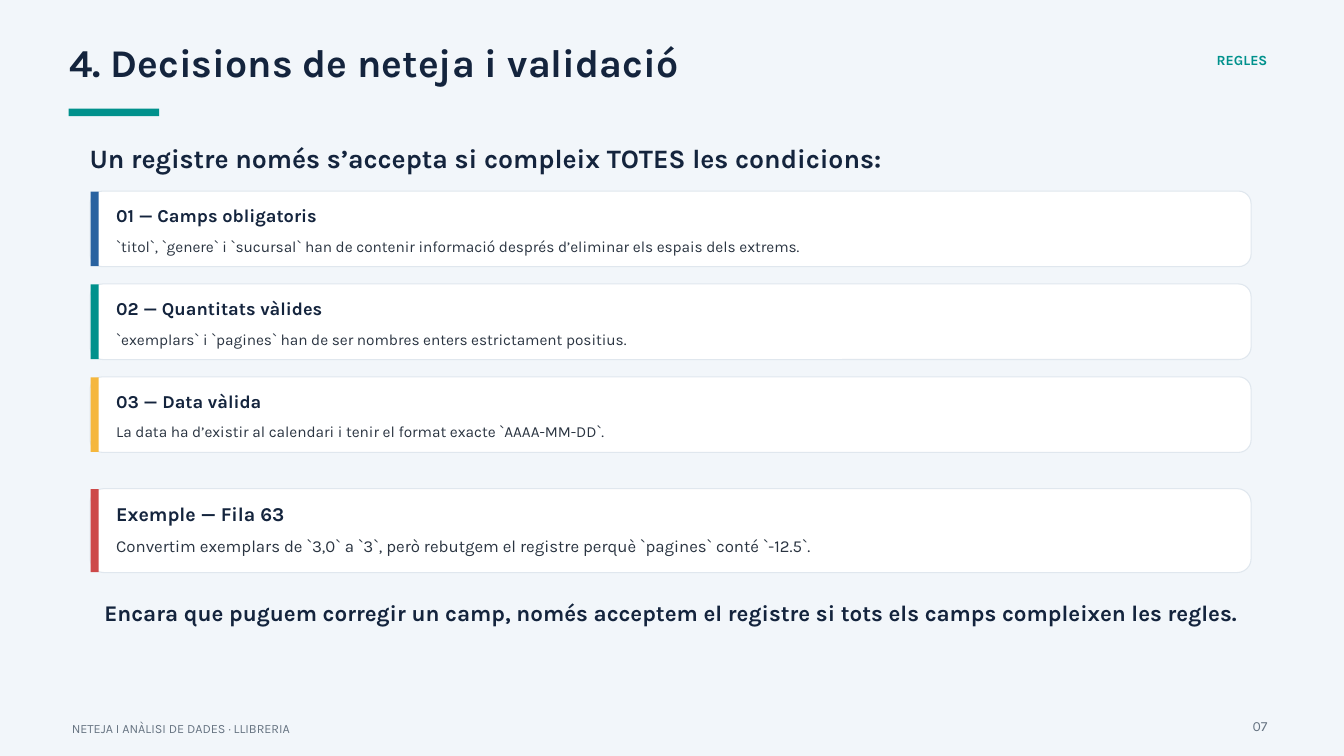
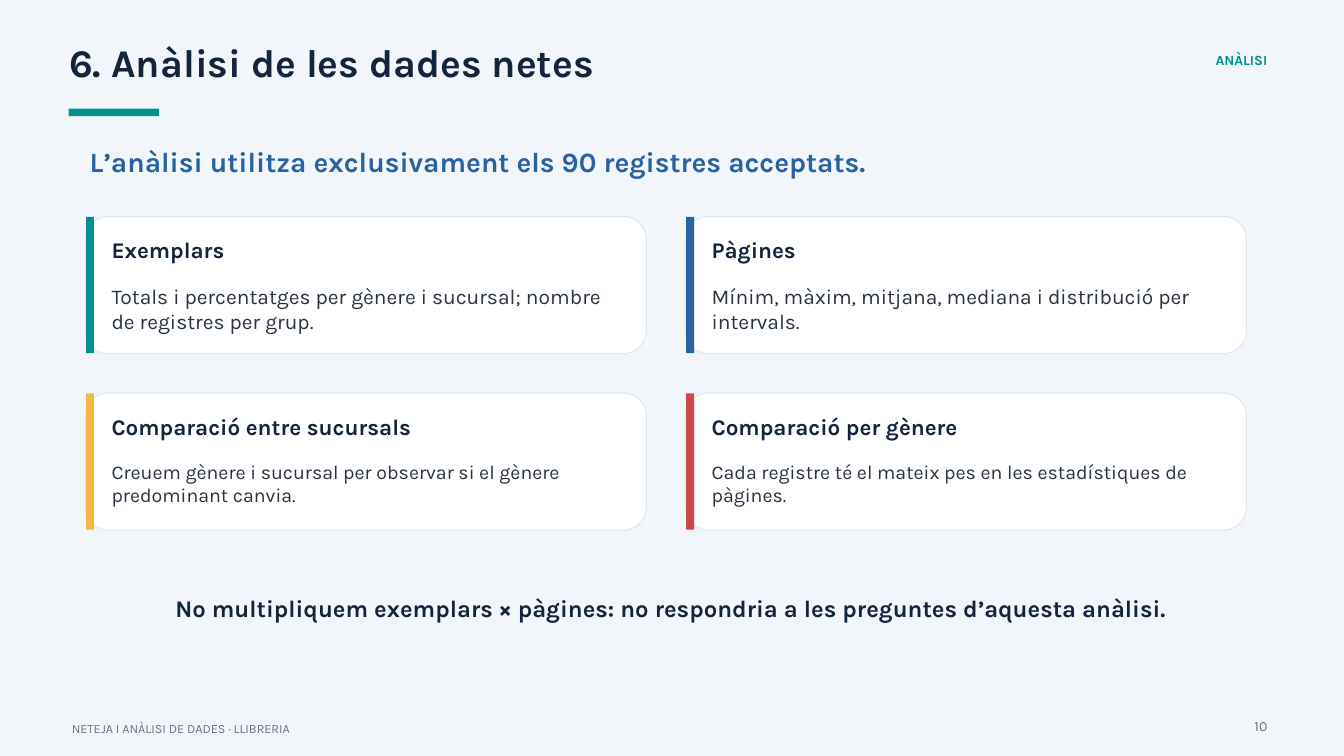
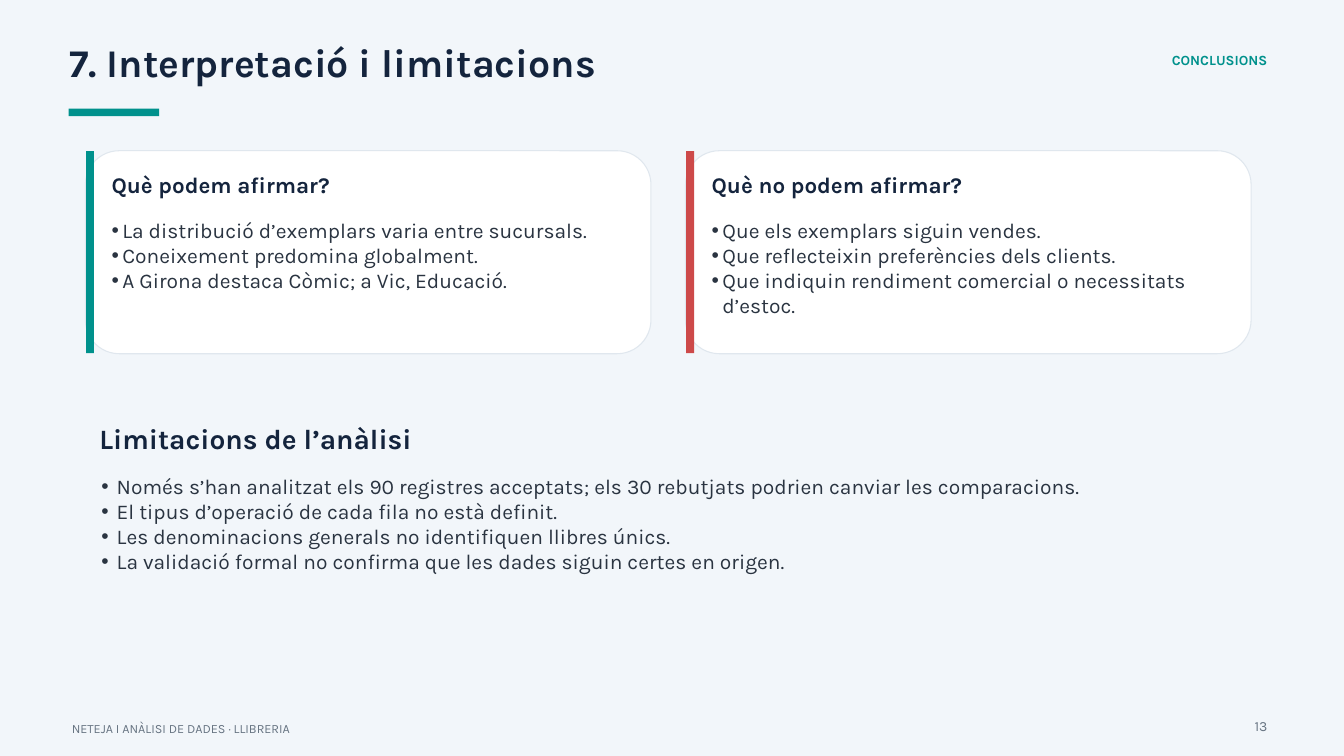
import pptx
import pptx.dml.color
import pptx.enum.shapes
import pptx.enum.text
import pptx.util
import lxml.etree

Pt = pptx.util.Pt
ALIGN = pptx.enum.text.PP_ALIGN
SHAPE = pptx.enum.shapes.MSO_SHAPE

FONT = "Karla"
INK = {
    "page": "F2F6FA", "card": "FFFFFF", "edge": "E0E7EE",
    "navy": "14243D", "text": "2A3441", "grey": "677482",
    "teal": "00918C", "blue": "2962A0", "gold": "F5B73D", "red": "CD4949",
}
WIDE, HIGH = 1440, 810
RIGHT = 1358
STEP = 643  # from one card column to the next
FOOT = "NETEJA I ANÀLISI DE DADES · LLIBRERIA"

# Card insets: space above the heading, space between heading and text
TIGHT = (14.5, 11)
LOOSE = (21.5, 21)


def color(name):
    return pptx.dml.color.RGBColor.from_string(INK[name])


def hang(para, dent):
    """Give the paragraph a round bullet with a hanging indent."""
    props = para._p.get_or_add_pPr()
    props.set("marL", str(Pt(dent)))
    props.set("indent", str(-Pt(dent)))
    mark = lxml.etree.SubElement(props, pptx.oxml.ns.qn("a:buChar"))
    mark.set("char", "•")


def write(slide, box, lines, size, ink="text", bold=False, align=ALIGN.LEFT,
          holder=None, dent=0):
    """Fill a placeholder, or a new text box, with one paragraph per line."""
    left, top, width, height = map(Pt, box)
    if holder is None:
        holder = slide.shapes.add_textbox(left, top, width, height)
    else:
        holder.left, holder.top = left, top
        holder.width, holder.height = width, height
        slide.shapes._spTree.append(holder._element)  # bring to front
    frame = holder.text_frame
    frame.word_wrap = True
    frame.auto_size = pptx.enum.text.MSO_AUTO_SIZE.NONE
    frame.vertical_anchor = pptx.enum.text.MSO_ANCHOR.TOP
    frame.margin_left = frame.margin_right = 0
    frame.margin_top = frame.margin_bottom = 0
    for i, line in enumerate(lines):
        para = frame.add_paragraph() if i else frame.paragraphs[0]
        if dent:
            hang(para, dent)
        para.alignment = align
        para.line_spacing = Pt(size * 1.2)
        para.space_before = para.space_after = Pt(0)
        run = para.add_run()
        run.text = line
        run.font.name, run.font.size = FONT, Pt(size)
        run.font.bold = bold
        run.font.color.rgb = color(ink)


def block(slide, kind, box, fill, edge=None):
    shape = slide.shapes.add_shape(kind, *map(Pt, box))
    shape.shadow.inherit = False
    shape.fill.solid()
    shape.fill.fore_color.rgb = color(fill)
    if edge:
        shape.line.color.rgb = color(edge)
        shape.line.width = Pt(1.13)
    else:
        shape.line.fill.background()


def card(slide, box, ink, head, lines, sizes, space, **more):
    """Draw a white card with a colour strip, a heading and its text."""
    left, top, width, height = box
    pad, gap = space
    big, small = sizes
    block(slide, SHAPE.ROUNDED_RECTANGLE, box, "card", "edge")
    block(slide, SHAPE.RECTANGLE, (left + 0.75, top + 0.5, 8.5, height - 1), ink)
    inner, span = left + 28, width - 52
    write(slide, (inner, top + pad, span, big * 1.2), [head], big, "navy", True)
    down = pad + big * 1.2 + gap
    write(slide, (inner, top + down, span, height - down - 9), lines, small, **more)


def start(deck, layout, title, tag, page):
    """Add a slide with the title, accent, tag and footer all slides share."""
    slide = deck.slides.add_slide(deck.slide_layouts.get_by_name(layout))
    write(slide, (74, 41.5, 1279, 60), [title], 42, "navy", True,
          holder=slide.shapes.title)
    block(slide, SHAPE.RECTANGLE, (73.5, 116.5, 97, 8), "teal")
    write(slide, (RIGHT - 241, 55.5, 241, 25), [tag], 15, "teal", True, ALIGN.RIGHT)
    write(slide, (77, 772.5, 911, 15), [FOOT], 13.5, "grey")
    write(slide, (RIGHT - 47, 769, 47, 20), [page], 15, "grey", align=ALIGN.RIGHT)
    return slide


def rules(deck):
    slide = start(deck, "Title Only", "4. Decisions de neteja i validació",
                  "REGLES", "07")
    write(slide, (96, 152.5, 1235, 38),
          ["Un registre només s’accepta si compleix TOTES les condicions:"],
          28.5, "navy", True)
    items = [
        ("blue", "01 — Camps obligatoris",
         "`titol`, `genere` i `sucursal` han de contenir informació després "
         "d’eliminar els espais dels extrems."),
        ("teal", "02 — Quantitats vàlides",
         "`exemplars` i `pagines` han de ser nombres enters estrictament positius."),
        ("gold", "03 — Data vàlida",
         "La data ha d’existir al calendari i tenir el format exacte `AAAA-MM-DD`."),
    ]
    left, width = 96.5, 1244
    for i, (ink, head, text) in enumerate(items):
        card(slide, (left, 204.75 + i * 99.5, width, 81), ink, head, [text],
             (19.5, 16.5), TIGHT)
    card(slide, (left, 523.5, width, 90), "red", "Exemple — Fila 63",
         ["Convertim exemplars de `3,0` a `3`, però rebutgem el registre "
          "perquè `pagines` conté `-12.5`."], (21, 18), TIGHT)
    write(slide, (111.5, 641.5, 1214, 58),
          ["Encara que puguem corregir un camp, només acceptem el registre "
           "si tots els camps compleixen les regles."],
          24, "navy", True, ALIGN.CENTER)


def study(deck):
    slide = start(deck, "Title Only", "6. Anàlisi de les dades netes",
                  "ANÀLISI", "10")
    write(slide, (96, 155, 1235, 42),
          ["L’anàlisi utilitza exclusivament els 90 registres acceptats."],
          30, "blue", True)
    items = [
        ("teal", "Exemplars", 22.5,
         "Totals i percentatges per gènere i sucursal; nombre de registres per grup."),
        ("blue", "Pàgines", 22.5,
         "Mínim, màxim, mitjana, mediana i distribució per intervals."),
        ("gold", "Comparació entre sucursals", 21,
         "Creuem gènere i sucursal per observar si el gènere predominant canvia."),
        ("red", "Comparació per gènere", 21,
         "Cada registre té el mateix pes en les estadístiques de pàgines."),
    ]
    for i, (ink, head, size, text) in enumerate(items):
        row, col = divmod(i, 2)
        card(slide, (91.5 + col * STEP, 232 + row * 189, 601, 147), ink, head,
             [text], (24, size), LOOSE)
    write(slide, (106.5, 636, 1225, 52.5),
          ["No multipliquem exemplars × pàgines: no respondria a les preguntes "
           "d’aquesta anàlisi."], 25.5, "navy", True, ALIGN.CENTER)


def limits(deck):
    slide = start(deck, "Comparison", "7. Interpretació i limitacions",
                  "CONCLUSIONS", "13")
    slots = {s.placeholder_format.idx: s for s in slide.placeholders}
    items = [
        ("teal", "Què podem afirmar?", slots[2], [
            "La distribució d’exemplars varia entre sucursals.",
            "Coneixement predomina globalment.",
            "A Girona destaca Còmic; a Vic, Educació."]),
        ("red", "Què no podem afirmar?", slots[4], [
            "Que els exemplars siguin vendes.",
            "Que reflecteixin preferències dels clients.",
            "Que indiquin rendiment comercial o necessitats d’estoc."]),
    ]
    for i, (ink, head, slot, lines) in enumerate(items):
        card(slide, (91.5 + i * STEP, 161.5, 606, 217.5), ink, head, lines,
             (24, 22.5), LOOSE, holder=slot, dent=11.5)
    write(slide, (106.5, 452, 425, 36), ["Limitacions de l’anàlisi"], 30,
          "navy", True, holder=slots[1])
    write(slide, (108.5, 507, 1253, 198), [
        "Només s’han analitzat els 90 registres acceptats; els 30 rebutjats "
        "podrien canviar les comparacions.",
        "El tipus d’operació de cada fila no està definit.",
        "Les denominacions generals no identifiquen llibres únics.",
        "La validació formal no confirma que les dades siguin certes en origen.",
    ], 22.5, holder=slots[3], dent=16.5)


def main():
    deck = pptx.Presentation()
    deck.slide_width, deck.slide_height = Pt(WIDE), Pt(HIGH)
    back = deck.slide_master.background.fill
    back.solid()
    back.fore_color.rgb = color("page")
    rules(deck)
    study(deck)
    limits(deck)
    deck.save("out.pptx")


if __name__ == "__main__":
    main()
